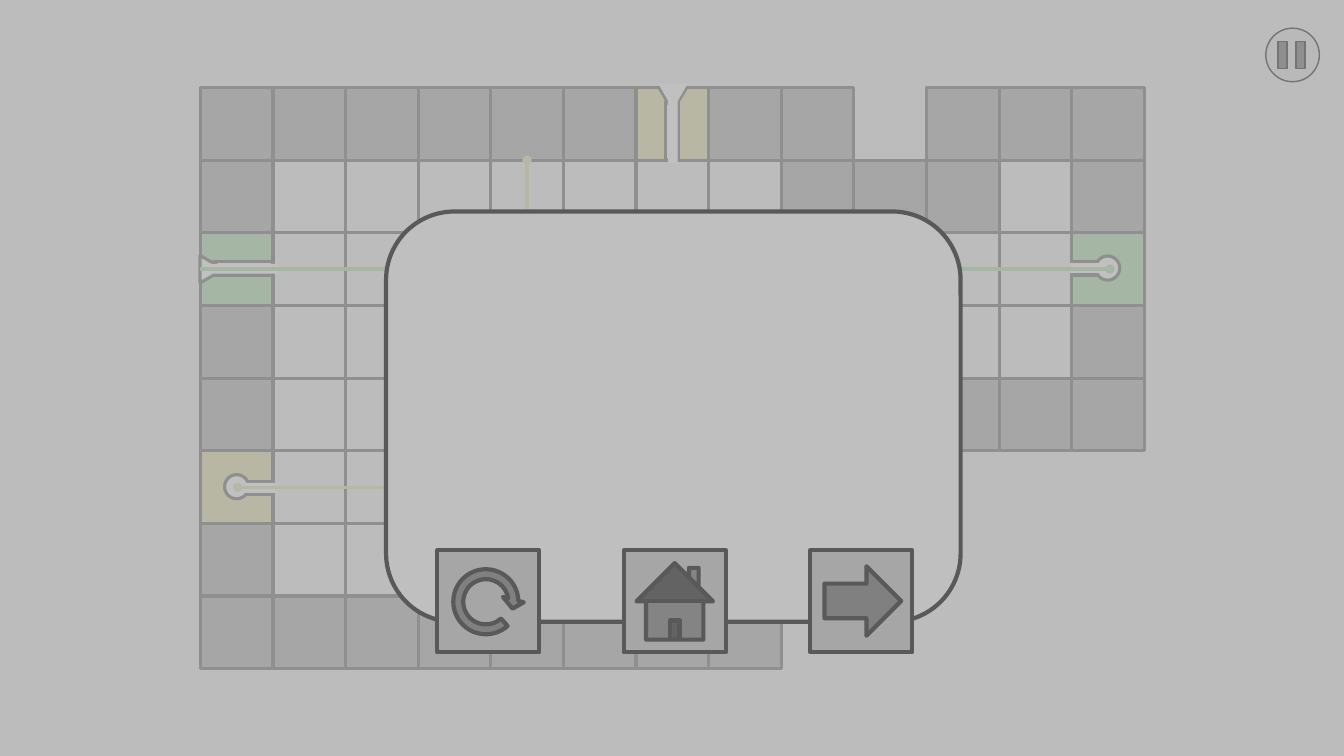
from lxml import etree
from pptx import Presentation, util as u
from pptx.dml.color import RGBColor
from pptx.enum import shapes
from pptx.oxml import ns

COLORS = {
    "page": "F2F2F2", "wall": "A6A6A6", "edge": "595959", "path": "FFFFFF",
    "yellow": "E2E29E", "green": "A6DEA2", "pause": "E7E6E6",
    "black": "000000", "dialog": "BFBFBF", "icon": "808080",
}
KIND = shapes.MSO_SHAPE
CELL, LEFT, TOP = 1.83, 5.05, 2.21
WIDTH, HEIGHT = 33.87, 19.05
BOARD = [
    "######Y## ###",
    "#.......###.#",
    "G..       ..G",
    "#..       ..#",
    "#..       ###",
    "Y..",
    "#..",
    "########",
]
TILES = {"#": "wall", "Y": "yellow", "G": "green", ".": None}
BORDER = {"edge": "edge", "weight": 2.25}
THICK = {"edge": "edge", "weight": 3}
THIN = {"edge": "black", "weight": 1}


def rgb(name):
    """Return the named colour."""
    return RGBColor.from_string(COLORS[name])


def add_figure(parent, kind, box, fill=None, edge=None, weight=1, **formats):
    """Add a preset shape with a fill, an outline and extra attributes."""
    figure = parent.shapes.add_shape(kind, *map(u.Cm, box))
    figure.shadow.inherit = False
    if fill:
        figure.fill.solid()
        figure.fill.fore_color.rgb = rgb(fill)
    else:
        figure.fill.background()
    if edge:
        figure.line.color.rgb = rgb(edge)
        figure.line.width = u.Pt(weight)
    else:
        figure.line.fill.background()
    for name, value in formats.items():
        setattr(figure, name, value)
    return figure


def add_wire(parent, start, finish, color, ends):
    """Add a coloured wire with round ends."""
    wire = parent.shapes.add_connector(
        shapes.MSO_CONNECTOR.STRAIGHT, *map(u.Cm, start + finish))
    wire.line.color.rgb = rgb(color)
    wire.line.width = u.Pt(2.25)
    outline = wire.line._get_or_add_ln()
    for end in ends:
        etree.SubElement(outline, ns.qn(f"a:{end}"), type="oval")
    etree.SubElement(wire._element.spPr, ns.qn("a:effectLst"))


def add_board(parent):
    """Add the tiles of the board."""
    for row, tiles in enumerate(BOARD):
        for column, tile in enumerate(tiles):
            if tile in TILES:
                box = (LEFT + column * CELL, TOP + row * CELL, CELL, CELL)
                add_figure(parent, KIND.RECTANGLE, box, TILES[tile], **BORDER)


def add_socket(parent, slot, hole, cover):
    """Add a round socket whose slot opens towards the board."""
    add_figure(parent, KIND.RECTANGLE, slot, "path", **BORDER)
    add_figure(parent, KIND.OVAL, hole, "path", **BORDER)
    add_figure(parent, KIND.RECTANGLE, cover, "path")


def add_funnel(parent, slot, mouth, cover, rotation):
    """Add a slot across a tile with a funnel-shaped mouth."""
    add_figure(parent, KIND.RECTANGLE, slot, "path", **BORDER)
    add_figure(parent, KIND.ISOSCELES_TRIANGLE, mouth, "path",
               rotation=rotation, **BORDER)
    add_figure(parent, KIND.RECTANGLE, cover, "path")


def add_pause(parent):
    """Add the pause button."""
    add_figure(parent, KIND.OVAL, (31.9, 0.71, 1.35, 1.35), "pause", **THIN)
    for left in (32.21, 32.66):
        add_figure(parent, KIND.RECTANGLE, (left, 1.04, 0.23, 0.69),
                   "edge", **THIN)


def add_dialog(parent):
    """Add the dialog with its restart, home and next buttons."""
    add_figure(parent, KIND.ROUNDED_RECTANGLE, (9.73, 5.33, 14.48, 10.34),
               "dialog", **THICK)
    buttons = (KIND.RECTANGLE, KIND.ACTION_BUTTON_HOME, KIND.RECTANGLE)
    for index, kind in enumerate(buttons):
        add_figure(parent, kind, (11.02 + index * 4.7, 13.87, 2.57, 2.57),
                   "wall", **THICK)
    add_figure(parent, KIND.RIGHT_ARROW, (20.78, 14.27, 1.93, 1.75),
               "icon", **THICK)
    restart = add_figure(parent, KIND.CIRCULAR_ARROW,
                         (11.28, 14.2, 1.93, 1.93), "icon", **THICK)
    for index, value in enumerate((0.13, 11.42, 213.28, 28.82, 0.14)):
        restart.adjustments[index] = value


def main():
    """Build the level-complete slide."""
    deck = Presentation()
    deck.slide_width, deck.slide_height = u.Cm(WIDTH), u.Cm(HEIGHT)
    slide = deck.slides.add_slide(deck.slide_layouts[6])
    screen = (0, 0, WIDTH, HEIGHT)
    add_figure(slide, KIND.RECTANGLE, screen, "page")
    add_pause(slide.shapes.add_group_shape())

    level = slide.shapes.add_group_shape()
    add_board(level)
    add_socket(level, (6.17, 12.14, 0.71, 0.33), (5.66, 11.96, 0.61, 0.61),
               (6.17, 12.17, 0.76, 0.25))
    add_socket(level, (27.03, 6.6, 0.71, 0.33), (27.61, 6.45, 0.61, 0.61),
               (26.97, 6.63, 0.76, 0.25))
    add_funnel(level, (16.78, 2.55, 0.33, 1.47), (16.61, 2.21, 0.69, 0.58),
               (16.83, 2.37, 0.25, 1.75), 180)
    add_figure(level, KIND.ISOSCELES_TRIANGLE, (16.59, 2.11, 0.74, 0.64),
               "path", rotation=180)
    add_funnel(level, (5.38, 6.6, 1.5, 0.33), (5, 6.48, 0.69, 0.61),
               (5.31, 6.65, 1.7, 0.25), 90)
    corner = (13.28, 12.28)
    both = ("headEnd", "tailEnd")
    add_wire(level, (5.99, 12.28), corner, "yellow", both)
    add_wire(level, corner, (13.28, 4.04), "yellow", both)
    add_wire(level, (27.97, 6.78), (LEFT, 6.78), "green", both[:1])

    veil = add_figure(slide, KIND.RECTANGLE, screen, "wall")
    tint = veil._element.spPr.find(".//" + ns.qn("a:srgbClr"))
    etree.SubElement(tint, ns.qn("a:alpha"), val="70000")
    add_dialog(slide.shapes.add_group_shape())
    deck.save("out.pptx")


main()
